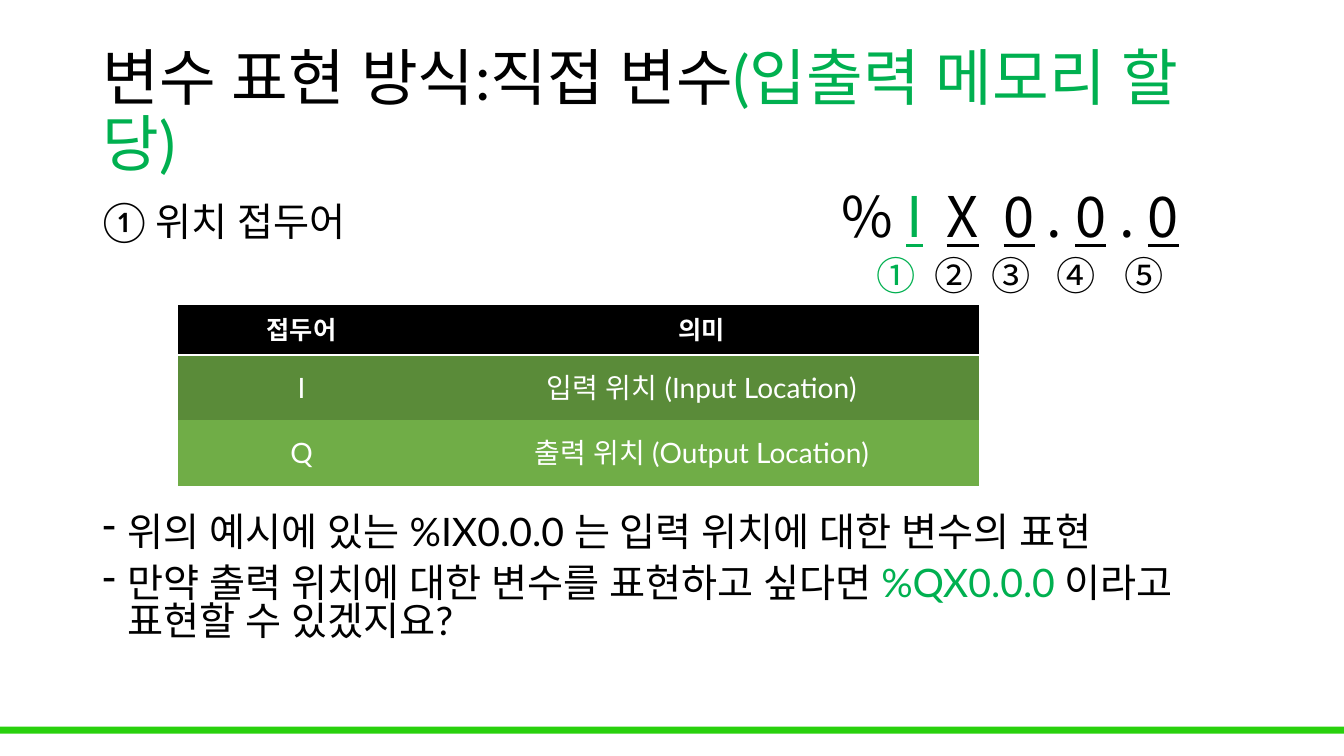
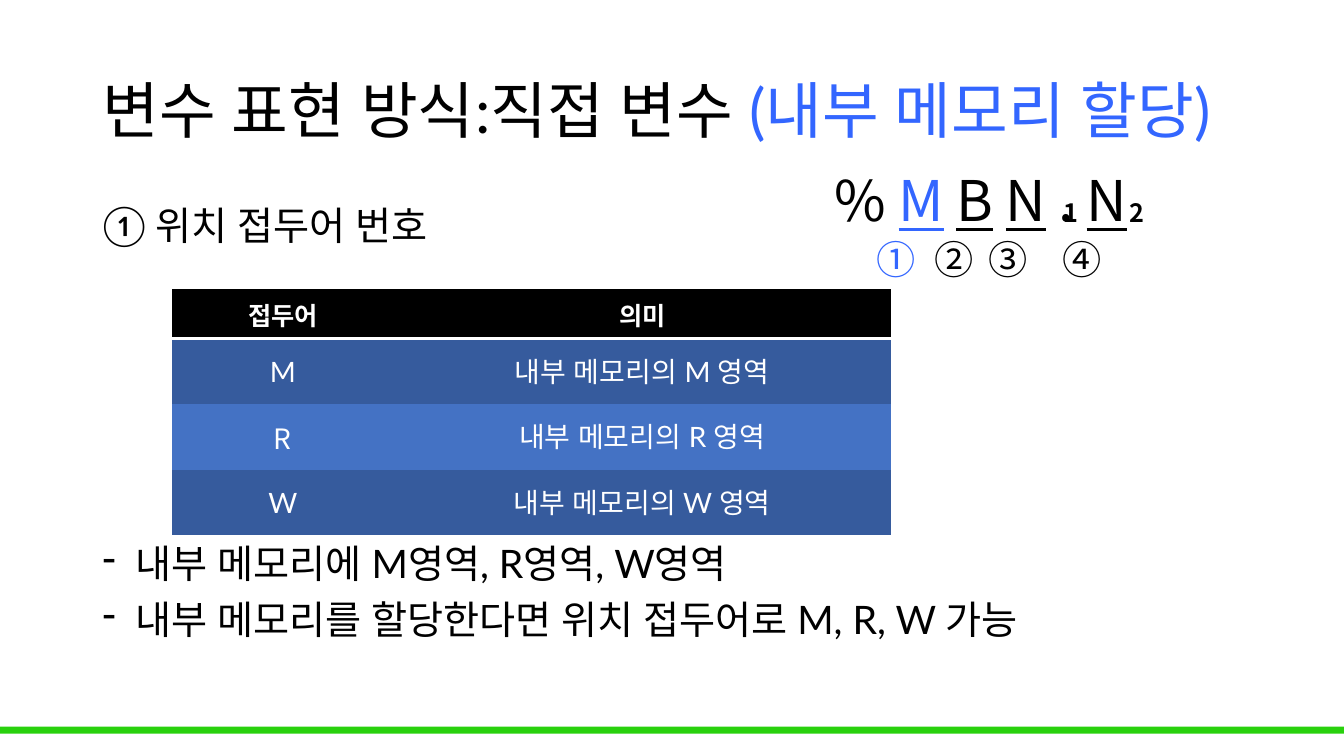
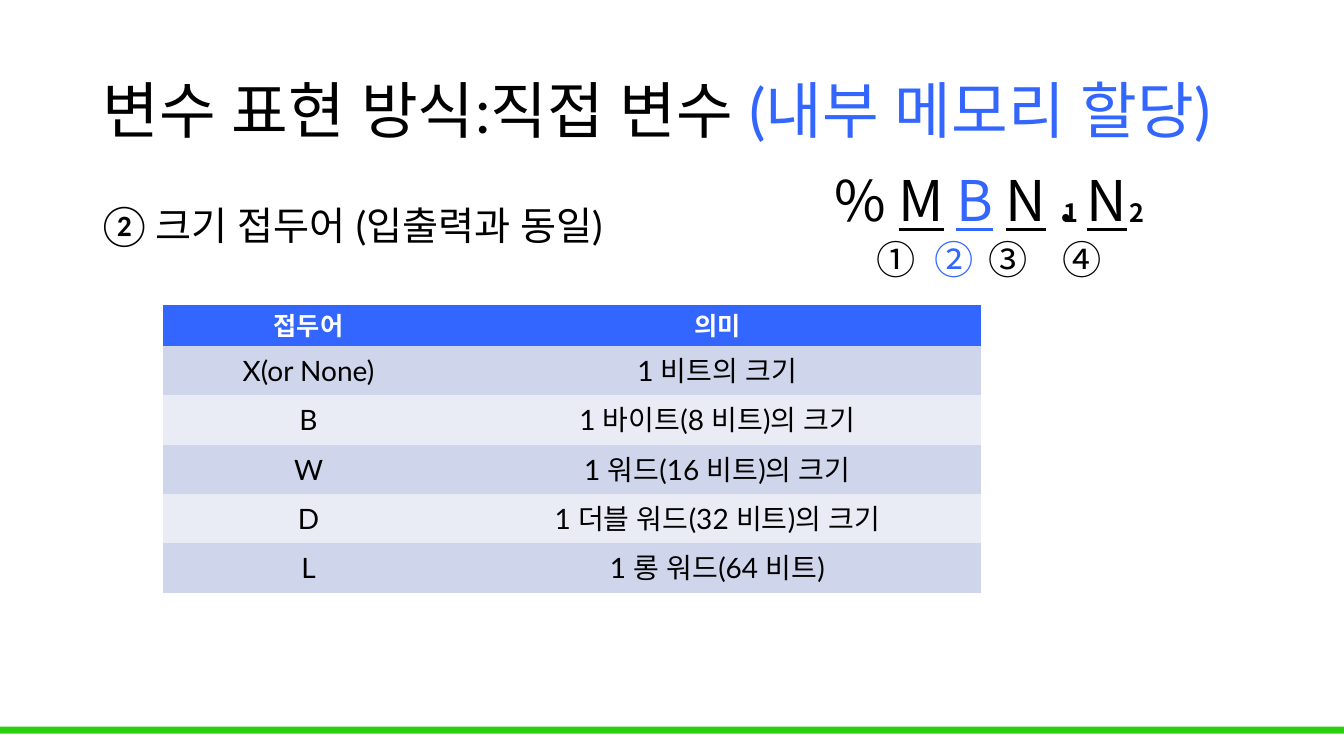
from dataclasses import dataclass

from lxml.etree import SubElement
from pptx import Presentation
from pptx.dml.color import RGBColor
from pptx.enum.shapes import MSO_SHAPE
from pptx.enum.text import MSO_ANCHOR, PP_ALIGN
from pptx.oxml.ns import qn
from pptx.util import Inches, Pt


@dataclass(frozen=True)
class Theme:
    text_font: str = "Lato"
    notation_font: str = "Noto Sans CJK KR"
    black: str = "000000"
    white: str = "FFFFFF"
    band: str = "29D10D"
    green: str = "00B050"
    blue: str = "3366FF"
    green_rows: tuple = ("5A8B39", "70AD47")
    blue_rows: tuple = ("365B9D", "4472C4")
    pale_rows: tuple = ("CFD5EA", "E9EBF5")
    title_size: int = 44
    notation_size: int = 40
    marker_gap_size: int = 30
    body_size: int = 28
    cell_size: int = 20
    header_size: int = 18
    plain_table: str = "{2D5ABB26-0587-4C30-8999-92F81FD0307C}"


class Deck:
    def __init__(self, theme):
        self.theme = theme
        self.presentation = Presentation()
        self.presentation.slide_width = Inches(13.33)
        self.presentation.slide_height = Inches(7.5)
        self.slide = None

    def add_slide(self):
        layout = self.presentation.slide_layouts[6]
        self.slide = self.presentation.slides.add_slide(layout)
        band = self.slide.shapes.add_shape(
            MSO_SHAPE.RECTANGLE, 0, Inches(7.21), Inches(13.33), Inches(0.07))
        band.shadow.inherit = False
        band.fill.solid()
        band.fill.fore_color.rgb = RGBColor.from_string(self.theme.band)
        band.line.fill.background()

    def add_run(self, paragraph, text, size, color=None, font=None, **format_values):
        run = paragraph.add_run()
        run.text = text
        values = {"name": font or self.theme.text_font, "size": Pt(size), **format_values}
        for name, value in values.items():
            setattr(run.font, name, value)
        run.font.color.rgb = RGBColor.from_string(color or self.theme.black)
        east_asian = SubElement(run.font._element, qn("a:ea"))
        east_asian.set("typeface", run.font.name)

    def add_text_frame(self, left, top, width, height, anchor=MSO_ANCHOR.TOP):
        box = self.slide.shapes.add_textbox(
            Inches(left), Inches(top), Inches(width), Inches(height))
        box.text_frame.word_wrap = True
        box.text_frame.vertical_anchor = anchor
        return box.text_frame

    def add_title(self, subject, detail, accent):
        frame = self.add_text_frame(0.92, 0.4, 11.5, 1.45, MSO_ANCHOR.MIDDLE)
        paragraph = frame.paragraphs[0]
        paragraph.line_spacing = 0.9
        self.add_run(paragraph, subject, self.theme.title_size)
        self.add_run(paragraph, detail, self.theme.title_size, accent)

    def add_heading(self, text, line_spacing=0.9):
        paragraph = self.add_text_frame(0.92, 2, 7, 0.6).paragraphs[0]
        paragraph.line_spacing = line_spacing
        self.add_run(paragraph, text, self.theme.body_size)

    def add_notes_list(self, top, notes, indent, line_spacing=0.9):
        frame = self.add_text_frame(0.92, top, 11.5, 1.5)
        for index, pieces in enumerate(notes):
            paragraph = frame.add_paragraph() if index else frame.paragraphs[0]
            properties = paragraph._p.get_or_add_pPr()
            properties.set("marL", str(Inches(indent)))
            properties.set("indent", str(-Inches(indent)))
            SubElement(properties, qn("a:buChar")).set("char", "-")
            paragraph.line_spacing = line_spacing
            paragraph.space_before = Pt(10 if index else 0)
            for text, color in pieces:
                self.add_run(paragraph, text, self.theme.body_size, color)

    def add_tab_stops(self, paragraph, centres):
        stops = SubElement(paragraph._p.get_or_add_pPr(), qn("a:tabLst"))
        for centre in centres:
            stop = SubElement(stops, qn("a:tab"))
            stop.set("pos", str(Inches(centre)))
            stop.set("algn", "ctr")

    def add_notation(self, left, top, symbols, marker_centres, highlight, accent):
        theme = self.theme
        font = theme.notation_font
        frame = self.add_text_frame(left, top, 4.17, 1.28)
        address = frame.paragraphs[0]
        self.add_tab_stops(address, [centre for _, centre in symbols])
        self.add_run(address, "%", theme.notation_size, font=font)
        part = 0
        for symbol, _ in symbols:
            is_part = symbol != "."
            part += is_part
            color = accent if is_part and part == highlight else theme.black
            self.add_run(address, "\t", theme.notation_size, font=font)
            self.add_run(address, symbol, theme.notation_size, color, font, underline=is_part)
        markers = frame.add_paragraph()
        self.add_tab_stops(markers, marker_centres)
        for number, marker in enumerate("①②③④⑤"[:len(marker_centres)], 1):
            color = accent if number == highlight else theme.black
            self.add_run(markers, "\t", theme.marker_gap_size, font=font)
            self.add_run(markers, marker, theme.body_size, color, font)

    def add_memory_notation(self, highlight):
        self.add_notation(
            8.18, 1.59,
            [("M", 0.86), ("B", 1.39), ("N", 1.9), (".", 2.3), ("N", 2.7)],
            [0.61, 1.18, 1.72, 2.45], highlight, self.theme.blue)
        subscripts = self.add_text_frame(10.45, 1.91, 1.31, 0.4).paragraphs[0]
        self.add_tab_stops(subscripts, [0.73])
        self.add_run(subscripts, "1\t2", self.theme.header_size,
                     font=self.theme.notation_font, bold=True)

    def add_header_rule(self, cell):
        line = SubElement(cell._tc.get_or_add_tcPr(), qn("a:lnB"))
        line.set("w", str(Pt(2)))
        color = SubElement(SubElement(line, qn("a:solidFill")), qn("a:srgbClr"))
        color.set("val", self.theme.white)

    def add_table(self, left, top, widths, header_height, row_height, rows,
                  header_fill, row_fills, text_color, ruled=True, notation_cells=()):
        theme = self.theme
        heights = [header_height] + [row_height] * len(rows)
        table = self.slide.shapes.add_table(
            len(heights), len(widths), Inches(left), Inches(top),
            Inches(sum(widths)), Inches(sum(heights))).table
        table._tbl.tblPr.find(qn("a:tableStyleId")).text = theme.plain_table
        for column, width in zip(table.columns, widths):
            column.width = Inches(width)
        for row, height in zip(table.rows, heights):
            row.height = Inches(height)
        for row_index, texts in enumerate([("접두어", "의미")] + rows):
            is_header = row_index == 0
            fill = header_fill if is_header else row_fills[(row_index - 1) % len(row_fills)]
            for column_index, text in enumerate(texts):
                cell = table.cell(row_index, column_index)
                cell.vertical_anchor = MSO_ANCHOR.MIDDLE
                if is_header and ruled:
                    self.add_header_rule(cell)
                cell.fill.solid()
                cell.fill.fore_color.rgb = RGBColor.from_string(fill)
                paragraph = cell.text_frame.paragraphs[0]
                paragraph.alignment = PP_ALIGN.CENTER
                in_notation = (row_index, column_index) in notation_cells
                self.add_run(
                    paragraph, text,
                    theme.header_size if is_header else theme.cell_size,
                    theme.white if is_header else text_color,
                    theme.notation_font if in_notation else theme.text_font,
                    bold=is_header)


def add_input_output_slide(deck):
    theme = deck.theme
    deck.add_slide()
    deck.add_title("변수 표현 방식:직접 변수", "(입출력 메모리 할당)", theme.green)
    deck.add_heading("① 위치 접두어", 0.8)
    deck.add_notation(
        8.25, 1.75,
        [("I", 0.72), ("X", 1.2), ("0", 1.76), (".", 2.11),
         ("0", 2.47), (".", 2.83), ("0", 3.19)],
        [0.54, 1.11, 1.68, 2.32, 3], 1, theme.green)
    deck.add_table(
        1.77, 3.03, [2.44, 5.5], 0.49, 0.65,
        [("I", "입력 위치 (Input Location)"), ("Q", "출력 위치 (Output Location)")],
        theme.black, theme.green_rows, theme.white)
    deck.add_notes_list(5.07, [
        [("위의 예시에 있는 %IX0.0.0 는 입력 위치에 대한 변수의 표현", theme.black)],
        [("만약 출력 위치에 대한 변수를 표현하고 싶다면 ", theme.black),
         ("%QX0.0.0 ", theme.green),
         ("이라고 표현할 수 있겠지요?", theme.black)],
    ], 0.25, 0.8)


def add_memory_location_slide(deck):
    theme = deck.theme
    deck.add_slide()
    deck.add_title("변수 표현 방식:직접 변수 ", "(내부 메모리 할당)", theme.blue)
    deck.add_heading("① 위치 접두어 번호")
    deck.add_memory_notation(1)
    deck.add_table(
        1.71, 2.87, [2.19, 4.94], 0.49, 0.65,
        [(area, f"내부 메모리의 {area} 영역") for area in "MRW"],
        theme.black, theme.blue_rows, theme.white,
        notation_cells={(0, 0), (0, 1), (2, 0)})
    deck.add_notes_list(5.35, [
        [("내부 메모리에 M영역, R영역, W영역", theme.black)],
        [("내부 메모리를 할당한다면 위치 접두어로 M, R, W 가능", theme.black)],
    ], 0.33)


def add_memory_size_slide(deck):
    theme = deck.theme
    deck.add_slide()
    deck.add_title("변수 표현 방식:직접 변수 ", "(내부 메모리 할당)", theme.blue)
    deck.add_heading("② 크기 접두어 (입출력과 동일)")
    deck.add_memory_notation(2)
    deck.add_table(
        1.62, 3.03, [2.88, 5.23], 0.34, 0.49,
        [("X(or None)", "1 비트의 크기"),
         ("B", "1 바이트(8 비트)의 크기"),
         ("W", "1 워드(16 비트)의 크기"),
         ("D", "1 더블 워드(32 비트)의 크기"),
         ("L", "1 롱 워드(64 비트)")],
        theme.blue, theme.pale_rows, theme.black, ruled=False)


def main():
    deck = Deck(Theme())
    add_input_output_slide(deck)
    add_memory_location_slide(deck)
    add_memory_size_slide(deck)
    deck.presentation.save("out.pptx")


if __name__ == "__main__":
    main()
